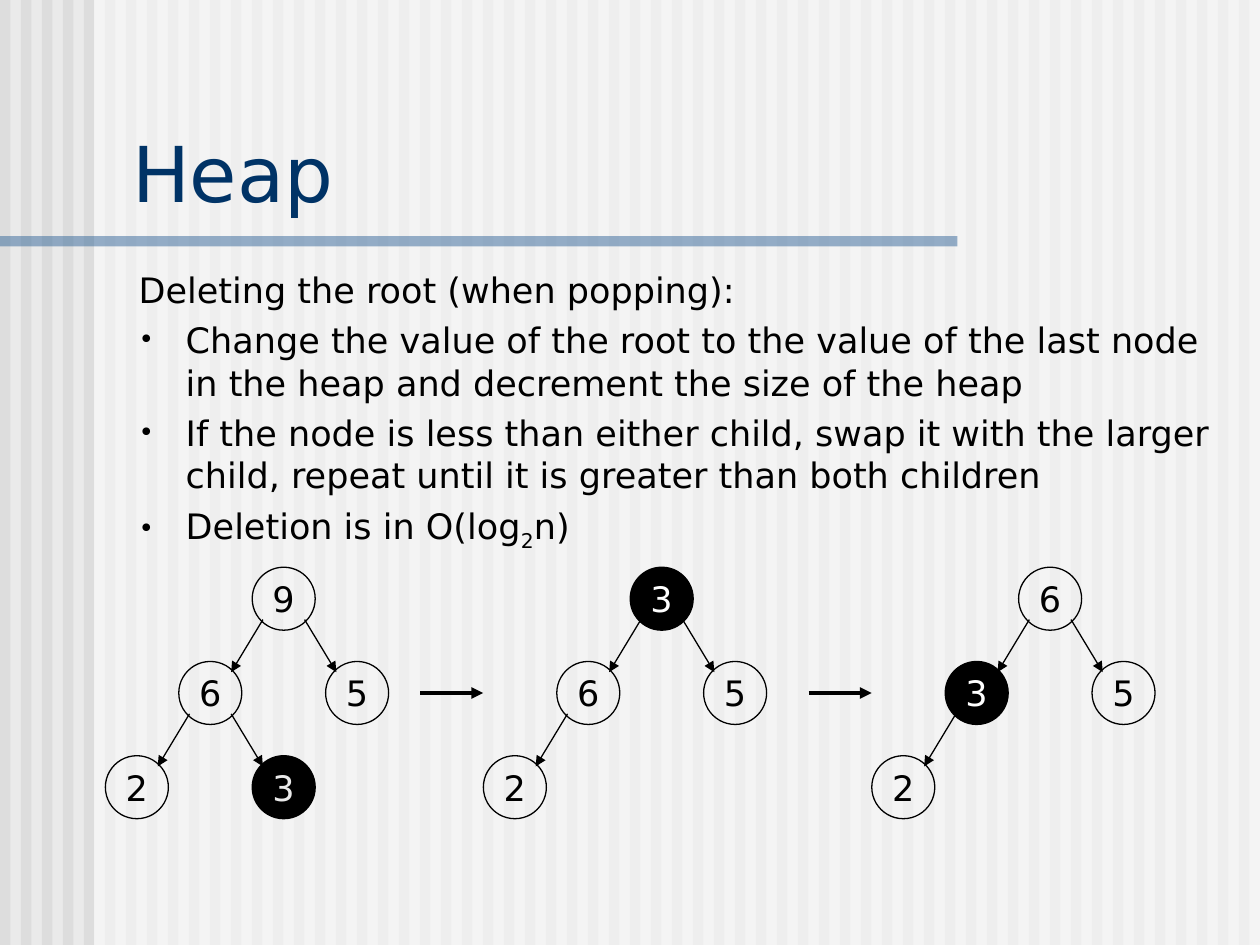
"""Build the slide that shows how the root of a heap is deleted."""
import dataclasses

import pptx
import pptx.dml.color
import pptx.enum.shapes
import pptx.enum.text
import pptx.oxml
import pptx.oxml.ns
import pptx.util

Cm = pptx.util.Cm
Pt = pptx.util.Pt
qn = pptx.oxml.ns.qn


@dataclasses.dataclass(frozen=True)
class Theme:
    font: str = "DejaVu Sans"
    title_size: int = 44
    text_size: int = 20
    background: str = "EAEAEA"
    stripe: str = "DDDDDD"
    veil: str = "FFFFFF"
    rule: str = "336699"
    title: str = "003366"
    ink: str = "000000"
    thin: float = 0.75
    thick: float = 2.25


THEME = Theme()
SLIDE_WIDTH, SLIDE_HEIGHT = 25.4, 19.05
STRIPE_COUNT = 60
NODE_SIZE = 1.27
COLUMN_STEP, ROW_STEP = 1.48, 1.9
ROOT_Y = 12.07
EDGE_INSET = 0.42
NODE_GRID = [(0, 0), (-1, 1), (1, 1), (-2, 2), (0, 2)]

HEAPS = [
    (5.72, "96523", 4, "EAEAEA"),
    (13.34, "3652", 0, "FFFFFF"),
    (21.17, "6352", 1, "FFFFFF"),
]
STEP_ARROWS = [(8.47, 9.74), (16.3, 17.57)]

INTRODUCTION = ["Deleting the root (when popping):"]
BULLETS = [
    ["Change the value of the root to the value of the last node in the heap "
     "and decrement the size of the heap"],
    ["If the node is less than either child, swap it with the larger child, "
     "repeat until it is greater than both children"],
    ["Deletion is in O(log", "2", "n)"],
]
SUBSCRIPTS = {"2"}


def rgb(value):
    return pptx.dml.color.RGBColor.from_string(value)


def append_xml(parent, tag, **attributes):
    element = pptx.oxml.parse_xml(f"<{tag} {pptx.oxml.ns.nsdecls('a')}/>")
    for name, value in attributes.items():
        element.set(name, value)
    parent.append(element)
    return element


def add_run(paragraph, text, size, color):
    run = paragraph.add_run()
    run.text = text
    run.font.name = THEME.font
    run.font.size = Pt(size)
    run.font.color.rgb = rgb(color)
    return run


def add_block(shapes, left, top, width, height, color, alpha=None):
    block = shapes.add_shape(pptx.enum.shapes.MSO_SHAPE.RECTANGLE,
                             Cm(left), Cm(top), Cm(width), Cm(height))
    block.shadow.inherit = False
    block.fill.solid()
    block.fill.fore_color.rgb = rgb(color)
    block.line.fill.background()
    if alpha is not None:
        fill_color = block.element.spPr.find(f"{qn('a:solidFill')}/{qn('a:srgbClr')}")
        append_xml(fill_color, "a:alpha", val=str(alpha * 1000))


def add_backdrop(slide):
    slide.background.fill.solid()
    slide.background.fill.fore_color.rgb = rgb(THEME.background)
    group = slide.shapes.add_group_shape()
    pitch = SLIDE_WIDTH / STRIPE_COUNT
    for index in range(STRIPE_COUNT):
        add_block(group.shapes, index * pitch, 0, pitch / 2, SLIDE_HEIGHT, THEME.stripe)
    add_block(group.shapes, 1.9, 0, SLIDE_WIDTH - 1.9, SLIDE_HEIGHT, THEME.veil, 50)
    add_block(slide.shapes, 0, 4.76, 19.3, 0.21, THEME.rule, 50)


def place_in_front(placeholder, left, top, width, height):
    placeholder.left, placeholder.top = Cm(left), Cm(top)
    placeholder.width, placeholder.height = Cm(width), Cm(height)
    placeholder.element.getparent().append(placeholder.element)
    placeholder.text_frame.word_wrap = True
    return placeholder.text_frame


def fill_title(slide, text):
    frame = place_in_front(slide.shapes.title, 2.41, 2.39, 22.68, 2.13)
    frame.auto_size = pptx.enum.text.MSO_AUTO_SIZE.SHAPE_TO_FIT_TEXT
    frame.vertical_anchor = pptx.enum.text.MSO_ANCHOR.BOTTOM
    paragraph = frame.paragraphs[0]
    paragraph.alignment = pptx.enum.text.PP_ALIGN.LEFT
    add_run(paragraph, text, THEME.title_size, THEME.title)


def format_list_item(paragraph, bulleted):
    properties = paragraph._p.get_or_add_pPr()
    properties.set("marL", str(Cm(0.95)))
    properties.set("indent", str(-Cm(0.95)))
    if bulleted:
        append_xml(append_xml(properties, "a:buClr"), "a:srgbClr", val=THEME.ink)
        append_xml(properties, "a:buSzPct", val="75000")
        append_xml(properties, "a:buFont", typeface=THEME.font)
        append_xml(properties, "a:buChar", char="•")
    else:
        append_xml(properties, "a:buNone")
    paragraph.space_before = Pt(5 if bulleted else 0)


def fill_body(slide):
    frame = place_in_front(slide.placeholders[1], 2.54, 5.28, 22.53, 11.63)
    frame.auto_size = pptx.enum.text.MSO_AUTO_SIZE.NONE
    for index, pieces in enumerate([INTRODUCTION, *BULLETS]):
        paragraph = frame.add_paragraph() if index else frame.paragraphs[0]
        format_list_item(paragraph, bulleted=index > 0)
        for piece in pieces:
            run = add_run(paragraph, piece, THEME.text_size, THEME.ink)
            if piece in SUBSCRIPTS:
                run._r.get_or_add_rPr().set("baseline", "-25000")


def add_node(slide, center_x, center_y, value, highlight=None):
    node = slide.shapes.add_shape(
        pptx.enum.shapes.MSO_SHAPE.OVAL,
        Cm(center_x - NODE_SIZE / 2), Cm(center_y - NODE_SIZE / 2),
        Cm(NODE_SIZE), Cm(NODE_SIZE))
    node.shadow.inherit = False
    node.line.color.rgb = rgb(THEME.ink)
    node.line.width = Pt(THEME.thin)
    if highlight:
        node.fill.solid()
        node.fill.fore_color.rgb = rgb(THEME.ink)
    else:
        node.fill.background()
    frame = node.text_frame
    frame.word_wrap = False
    frame.vertical_anchor = pptx.enum.text.MSO_ANCHOR.MIDDLE
    paragraph = frame.paragraphs[0]
    paragraph.alignment = pptx.enum.text.PP_ALIGN.CENTER
    add_run(paragraph, value, THEME.text_size, highlight or THEME.ink)


def add_arrow(slide, start, end, width):
    arrow = slide.shapes.add_connector(
        pptx.enum.shapes.MSO_CONNECTOR.STRAIGHT,
        *(Cm(length) for length in (*start, *end)))
    arrow.line.color.rgb = rgb(THEME.ink)
    arrow.line.width = Pt(width)
    properties = arrow.element.spPr
    append_xml(properties.find(qn("a:ln")), "a:tailEnd", type="triangle")
    append_xml(properties, "a:effectLst")


def add_heap(slide, root_x, values, marked, marked_color):
    centers = [(root_x + column * COLUMN_STEP, ROOT_Y + row * ROW_STEP)
               for column, row in NODE_GRID]
    for index, value in enumerate(values):
        x, y = centers[index]
        add_node(slide, x, y, value, marked_color if index == marked else None)
        if index:
            parent_x, parent_y = centers[(index - 1) // 2]
            inset = EDGE_INSET if x > parent_x else -EDGE_INSET
            add_arrow(slide, (parent_x + inset, parent_y + EDGE_INSET),
                      (x - inset, y - EDGE_INSET), THEME.thin)


def main():
    presentation = pptx.Presentation()
    presentation.slide_width, presentation.slide_height = Cm(SLIDE_WIDTH), Cm(SLIDE_HEIGHT)
    slide = presentation.slides.add_slide(presentation.slide_layouts[1])
    add_backdrop(slide)
    fill_title(slide, "Heap")
    fill_body(slide)
    for heap in HEAPS:
        add_heap(slide, *heap)
    for start_x, end_x in STEP_ARROWS:
        middle_y = ROOT_Y + ROW_STEP
        add_arrow(slide, (start_x, middle_y), (end_x, middle_y), THEME.thick)
    presentation.save("out.pptx")


if __name__ == "__main__":
    main()
